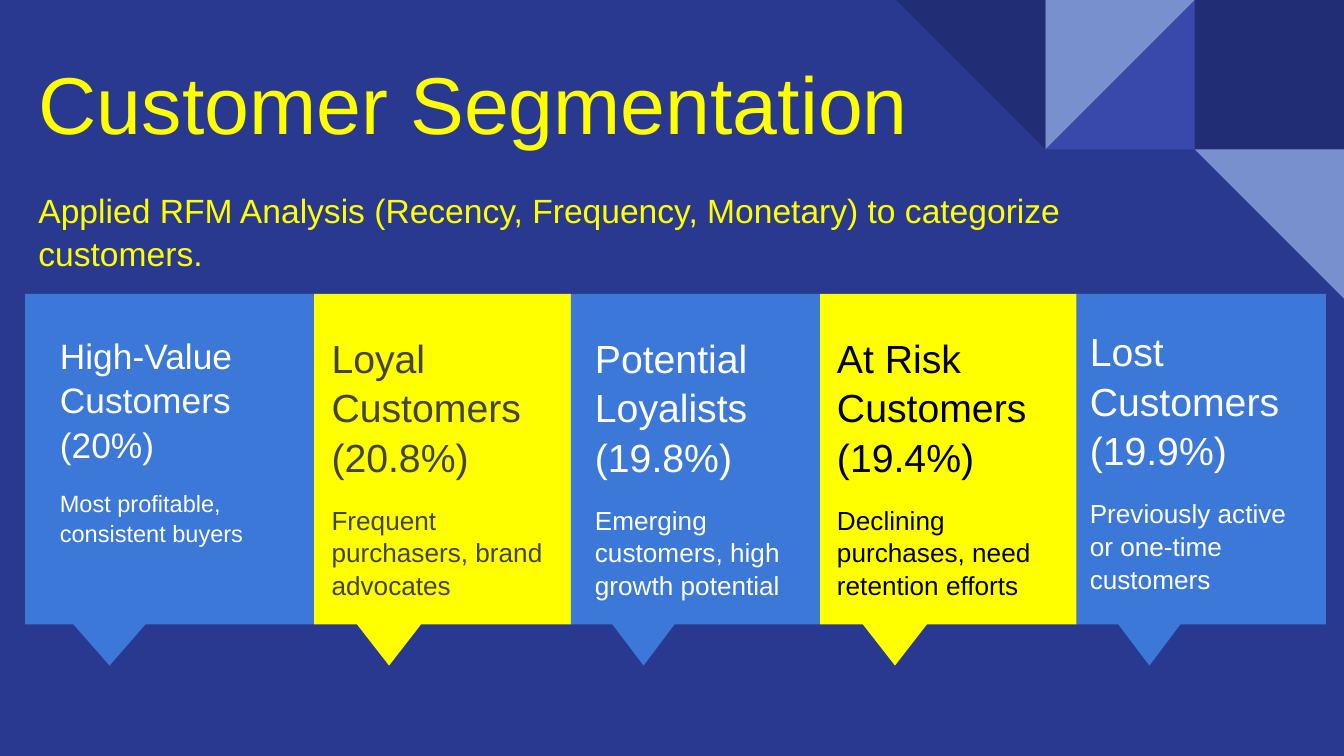
import pptx
import pptx.dml.color
import pptx.enum.shapes
import pptx.enum.text
import pptx.util

Pt = pptx.util.Pt
SHAPES = pptx.enum.shapes.MSO_SHAPE

COLOURS = {
    "background": "2A3990",
    "navy": "212D74",
    "indigo": "3949AB",
    "periwinkle": "7890CD",
    "blue": "3C78D8",
    "yellow": "FFFF00",
    "white": "FFFFFF",
    "grey": "434343",
    "black": "000000",
}

TILE = 80
# shape, column, row, rotation, colour
TILES = [
    (SHAPES.RECTANGLE, 8, 0, 0, "navy"),
    (SHAPES.RIGHT_TRIANGLE, 7, 0, 270, "indigo"),
    (SHAPES.RIGHT_TRIANGLE, 7, 0, 90, "periwinkle"),
    (SHAPES.RIGHT_TRIANGLE, 6, 0, 180, "navy"),
    (SHAPES.RIGHT_TRIANGLE, 8, 1, 180, "periwinkle"),
]

CARDS_LEFT, CARDS_TOP, CARD_HEIGHT = 13.5, 157.5, 177
# card width, fill, text colour, text box (left, top, width, height),
# heading size, detail size, heading, detail
SEGMENTS = [
    (154.8, "blue", "white", (25, 170.6, 137.5, 133), 18.9, 12.6,
     "High-Value Customers (20%)", "Most profitable, consistent buyers"),
    (137.5, "yellow", "grey", (170.5, 170.6, 133.2, 157.7), 21, 14,
     "Loyal Customers (20.8%)", "Frequent purchasers, brand advocates"),
    (133.5, "blue", "white", (311.6, 170.6, 137.5, 157.7), 21, 14,
     "Potential Loyalists (19.8%)", "Emerging customers, high growth potential"),
    (137.5, "yellow", "black", (441.3, 170.6, 133.2, 157.7), 21, 14,
     "At Risk Customers (19.4%)", "Declining purchases, need retention efforts"),
    (133.5, "blue", "white", (576.7, 167, 133.2, 157.7), 21, 14,
     "Lost Customers (19.9%)", "Previously active or one-time customers"),
]


def colour(name):
    return pptx.dml.color.RGBColor.from_string(COLOURS[name])


def add_filled_shape(slide, kind, box, fill):
    shape = slide.shapes.add_shape(kind, *map(Pt, box))
    shape.shadow.inherit = False
    shape.fill.solid()
    shape.fill.fore_color.rgb = colour(fill)
    shape.line.fill.background()
    return shape


def prepare_frame(shape):
    """Give the text of a shape its insets, wrapping and top anchor."""
    frame = shape.text_frame
    frame.word_wrap = True
    frame.auto_size = pptx.enum.text.MSO_AUTO_SIZE.NONE
    frame.vertical_anchor = pptx.enum.text.MSO_ANCHOR.TOP
    frame.margin_left = frame.margin_right = Pt(7.2)
    frame.margin_top = frame.margin_bottom = Pt(7.2)
    return frame


def write_line(paragraph, text, size, text_colour, line_spacing=1.05):
    paragraph.alignment = pptx.enum.text.PP_ALIGN.LEFT
    paragraph.line_spacing = line_spacing
    run = paragraph.add_run()
    run.text = text
    run.font.name = "Arial"
    run.font.size = Pt(size)
    run.font.color.rgb = colour(text_colour)


def add_text_box(slide, box):
    return prepare_frame(slide.shapes.add_textbox(*map(Pt, box)))


def add_corner_tiles(slide):
    for kind, column, row, rotation, fill in TILES:
        box = (column * TILE, row * TILE, TILE, TILE)
        add_filled_shape(slide, kind, box, fill).rotation = rotation


def set_title(slide, text):
    title = slide.shapes.title
    title.left, title.top, title.width, title.height = map(Pt, (13.5, 17.3, 679, 80.6))
    write_line(prepare_frame(title).paragraphs[0], text, 43.2, "yellow", 1.08)


def add_segment_cards(slide):
    left = CARDS_LEFT
    for width, fill, *_ in SEGMENTS:
        card = add_filled_shape(slide, SHAPES.RECTANGULAR_CALLOUT,
                                (left, CARDS_TOP, width, CARD_HEIGHT), fill)
        card.adjustments[0] = -0.208
        card.adjustments[1] = 0.625
        left += width


def add_segment_texts(slide):
    for _, _, text_colour, box, heading_size, detail_size, heading, detail in SEGMENTS:
        frame = add_text_box(slide, box)
        write_line(frame.paragraphs[0], heading, heading_size, text_colour)
        paragraph = frame.add_paragraph()
        paragraph.space_before = paragraph.space_after = Pt(12)
        write_line(paragraph, detail, detail_size, text_colour)


def main():
    presentation = pptx.Presentation()
    presentation.slide_width, presentation.slide_height = Pt(720), Pt(405)
    slide = presentation.slides.add_slide(presentation.slide_layouts[5])
    slide.background.fill.solid()
    slide.background.fill.fore_color.rgb = colour("background")

    add_corner_tiles(slide)
    set_title(slide, "Customer Segmentation")
    add_segment_cards(slide)
    add_segment_texts(slide)
    subtitle = add_text_box(slide, (13.5, 93.6, 654.5, 24))
    write_line(subtitle.paragraphs[0],
               "Applied RFM Analysis (Recency, Frequency, Monetary) to categorize customers.",
               18, "yellow")
    presentation.save("out.pptx")


if __name__ == "__main__":
    main()
